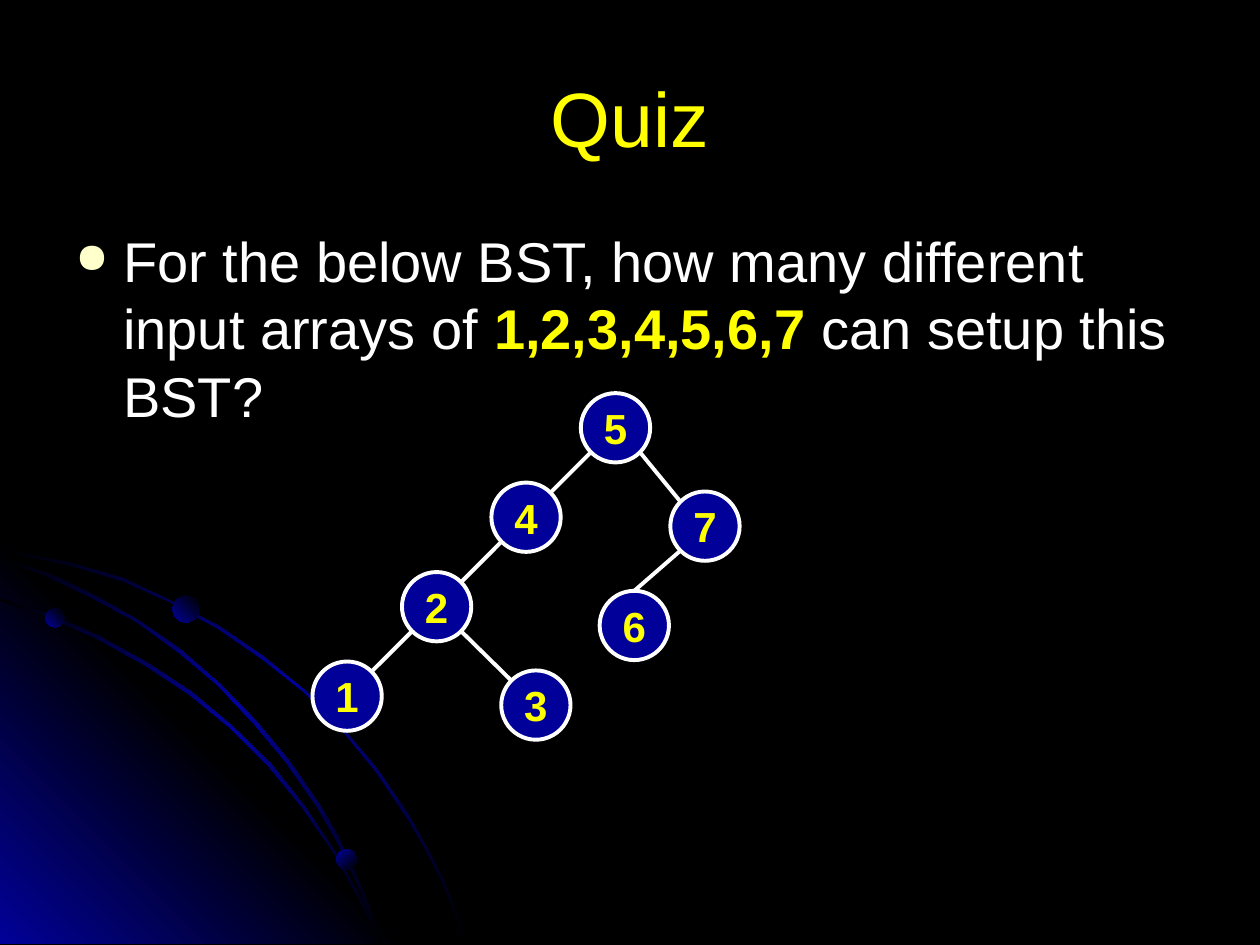
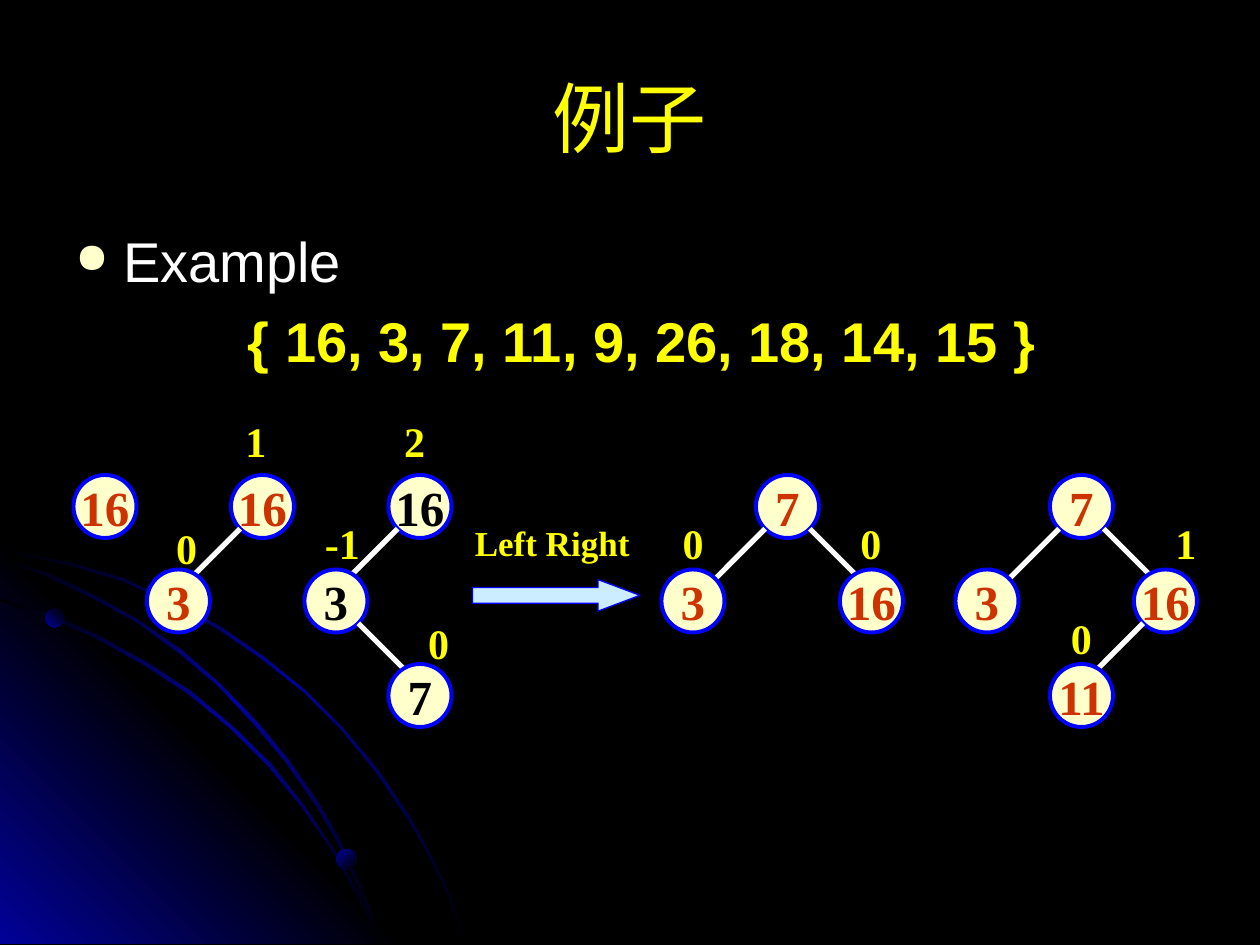
from math import sqrt

from lxml import etree
from pptx import Presentation
from pptx.dml.color import RGBColor
from pptx.enum.shapes import MSO_CONNECTOR, MSO_SHAPE as Preset
from pptx.enum.text import MSO_ANCHOR as Anchor, PP_ALIGN as Align
from pptx.oxml.ns import qn
from pptx.util import Inches, Pt

BLACK, WHITE, YELLOW = "000000", "FFFFFF", "FFFF00"
NAVY, BLUE, CREAM, SKY = "010199", "0000FF", "FFFFCC", "CCECFF"
RED, INK = "CC3300", "010000"
SANS, SERIF = "Arial", "Times New Roman"
LEFT, RIGHT = -1, 1
DIAGONAL = sqrt(0.5)

# Backdrop outlines, in hundredths of an inch.
CORNER = [(322, 749), (0, 749), (0, 427)]
OUTER_ARC = [
    (57, 447), (28, 441), (0, 435), (0, 438), (28, 443), (56, 449), (97, 461),
    (135, 478), (173, 499), (208, 523), (241, 549), (271, 579), (298, 612),
    (323, 649), (337, 673), (350, 698), (360, 723), (370, 749), (372, 749),
    (362, 723), (352, 698), (339, 673), (325, 648), (300, 611), (272, 578),
    (242, 548), (209, 521), (174, 497), (136, 477), (98, 459)]
INNER_ARC = [
    (285, 714), (294, 732), (301, 749), (303, 749), (296, 730), (286, 712),
    (266, 676), (242, 640), (215, 606), (184, 576), (152, 549), (117, 526),
    (79, 505), (41, 488), (0, 475), (0, 477), (39, 490), (77, 507), (115, 528),
    (150, 551), (183, 578), (213, 608), (240, 641), (265, 677)]
MIDDLE_ARC = [
    (0, 442), (0, 444), (36, 457), (74, 475), (109, 494), (142, 518), (173, 544),
    (202, 575), (227, 605), (252, 641), (267, 667), (280, 694), (292, 722),
    (301, 749), (303, 749), (294, 720), (282, 693), (269, 665), (254, 639),
    (229, 603), (204, 573), (175, 543), (144, 516), (111, 493), (76, 473), (39, 455)]
FADE_ENDS = (BLACK, NAVY, BLACK)
OUTLINES = [(OUTER_ARC, FADE_ENDS, 45), (CORNER, (NAVY, BLACK, NAVY), 315),
            (INNER_ARC, FADE_ENDS, 45), (MIDDLE_ARC, FADE_ENDS, 45)]
# left, top, diameter, gradient angle
BALLS = [(0.36, 4.83, 0.15, 315), (2.67, 6.74, 0.16, 45), (1.37, 4.73, 0.21, 315)]

# Quiz tree: label -> (column, row); then (parent, child, side of the child).
QUIZ_STEP = 0.71
QUIZ_NODES = {"2": (1, 2), "5": (3, 0), "4": (2, 1), "7": (4, 1.1),
              "6": (3.21, 2.21), "1": (0, 3), "3": (2.11, 3.1)}
QUIZ_EDGES = [("5", "4", LEFT), ("2", "1", LEFT), ("2", "3", RIGHT),
              ("4", "2", LEFT), ("5", "7", RIGHT)]

# Example trees: text colour, then (label, column, row, index of the parent).
COLUMN, ROW, ROW_TOP, REACH = 1 / 12, 0.75, 3.77, 0.42
EXAMPLE_TREES = [
    (RED, [("16", 7, 0, None)]),
    (RED, [("16", 22, 0, None), ("3", 14, 1, 0)]),
    (INK, [("16", 37, 0, None), ("3", 29, 1, 0), ("7", 37, 2, 1)]),
    (RED, [("7", 72, 0, None), ("3", 63, 1, 0), ("16", 80, 1, 0)]),
    (RED, [("7", 100, 0, None), ("3", 91, 1, 0), ("16", 108, 1, 0), ("11", 100, 2, 2)]),
]
BALANCES = [("1", 1.85, 3.25), ("0", 1.3, 4.1), ("2", 3.11, 3.25), ("-1", 2.48, 4.06),
            ("0", 3.3, 4.85), ("0", 5.32, 4.06), ("0", 6.73, 4.06),
            ("1", 9.23, 4.06), ("0", 8.4, 4.81)]


def color(value):
    return RGBColor.from_string(value)


def add_span(para, text, size, hue, font=SANS, bold=False):
    span = para.add_run()
    span.text = text
    span.font.size, span.font.name, span.font.bold = Pt(size), font, bold
    span.font.color.rgb = color(hue)


def fill_gradient(shape, hues, angle):
    """Spread the hues evenly along a clockwise angle."""
    shape.shadow.inherit = False
    shape.line.fill.background()
    shape.fill.gradient()
    shape.fill.gradient_angle = 360 - angle
    stops = next(shape._element.spPr.iter(qn("a:gsLst")))
    for stop in list(stops):
        stops.remove(stop)
    for index, hue in enumerate(hues):
        position = str(100000 * index // (len(hues) - 1))
        stop = etree.SubElement(stops, qn("a:gs"), pos=position)
        etree.SubElement(stop, qn("a:srgbClr"), val=hue)


def add_backdrop(page):
    for points, hues, angle in OUTLINES:
        builder = page.shapes.build_freeform(*points[0], scale=Inches(0.01))
        builder.add_line_segments(points[1:], close=True)
        fill_gradient(builder.convert_to_shape(), hues, angle)
    for left, top, size, angle in BALLS:
        ball = page.shapes.add_shape(Preset.OVAL, Inches(left), Inches(top),
                                     Inches(size), Inches(size))
        fill_gradient(ball, (NAVY, BLACK), angle)


def add_box(page, left, top, width, height, wrap=True):
    box = page.shapes.add_textbox(Inches(left), Inches(top), Inches(width), Inches(height))
    box.text_frame.word_wrap = wrap
    return box.text_frame


def add_page(deck, title):
    page = deck.slides.add_slide(deck.slide_layouts[6])
    add_backdrop(page)
    frame = add_box(page, 0.5, 0.3, 9, 1.25)
    frame.vertical_anchor = Anchor.MIDDLE
    frame.paragraphs[0].alignment = Align.CENTER
    add_span(frame.paragraphs[0], title, 44, YELLOW)
    return page


def style_body(para, margin, bulleted=False):
    para.space_before = Pt(7.4)
    props = para._p.get_or_add_pPr()
    props.set("marL", str(Inches(margin)))
    if bulleted:
        props.set("indent", str(-Inches(margin)))
        tint = etree.SubElement(props, qn("a:buClr"))
        etree.SubElement(tint, qn("a:srgbClr"), val=CREAM)
        etree.SubElement(props, qn("a:buSzPct"), val="75000")
        etree.SubElement(props, qn("a:buChar"), char="●")


def paint(shape, fill, outline, width):
    shape.shadow.inherit = False
    shape.fill.solid()
    shape.fill.fore_color.rgb = color(fill)
    shape.line.color.rgb = color(outline)
    shape.line.width = Pt(width)


def add_node(page, label, left, top, diameter, fill, outline, **lettering):
    node = page.shapes.add_shape(Preset.OVAL, Inches(left), Inches(top),
                                 Inches(diameter), Inches(diameter))
    paint(node, fill, outline, 2.25)
    frame = node.text_frame
    frame.word_wrap = False
    frame.vertical_anchor = Anchor.MIDDLE
    frame.paragraphs[0].alignment = Align.CENTER
    add_span(frame.paragraphs[0], label, bold=True, **lettering)
    return node


def rim(node, across, down):
    """Point on the circle's diagonal; across and down are -1 or 1."""
    radius = node.width / 2
    return (int(node.left + radius * (1 + across * DIAGONAL)),
            int(node.top + radius * (1 + down * DIAGONAL)))


def add_edge(page, start, end, width):
    edge = page.shapes.add_connector(MSO_CONNECTOR.STRAIGHT, *start, *end)
    edge.line.color.rgb = color(WHITE)
    edge.line.width = Pt(width)
    etree.SubElement(edge._element.spPr, qn("a:effectLst"))
    return edge


def add_quiz_tree(page):
    nodes = {
        label: add_node(page, label, 2.48 + column * QUIZ_STEP, 3.12 + row * QUIZ_STEP,
                        0.55, NAVY, WHITE, size=24, hue=YELLOW, font=SANS)
        for label, (column, row) in QUIZ_NODES.items()}
    for parent, child, side in QUIZ_EDGES:
        add_edge(page, rim(nodes[parent], side, 1), rim(nodes[child], -side, -1), 2.25)
    start = rim(nodes["7"], LEFT, 1)
    add_edge(page, start, start, 2.25).end_connect(nodes["6"], 0)


def add_example_tree(page, hue, entries):
    """Draw each edge before its child, so that the child covers the edge's end."""
    nodes = []
    for label, column, row, parent in entries:
        if parent is not None:
            side = RIGHT if column > entries[parent][1] else LEFT
            x, y = rim(nodes[parent], side, 1)
            add_edge(page, (x, y), (x + side * Inches(REACH), y + Inches(REACH)), 3)
        nodes.append(add_node(page, label, column * COLUMN, ROW_TOP + row * ROW, 0.5,
                              CREAM, BLUE, size=28, hue=hue, font=SERIF))


def add_label(page, text, left, top, width, height, size):
    frame = add_box(page, left, top, width, height, wrap=False)
    add_span(frame.paragraphs[0], text, size, YELLOW, SERIF, True)


def build_quiz(deck):
    page = add_page(deck, "Quiz")
    para = add_box(page, 0.5, 1.75, 9.15, 4.95).paragraphs[0]
    style_body(para, 0.38, bulleted=True)
    add_span(para, "For the below BST, how many different input arrays of ", 32, WHITE)
    add_span(para, "1,2,3,4,5,6,7", 32, YELLOW, bold=True)
    add_span(para, " can setup this BST?", 32, WHITE)
    add_quiz_tree(page)


def build_example(deck):
    page = add_page(deck, "例子")
    frame = add_box(page, 0.5, 1.75, 9, 4.95)
    heading, numbers = frame.paragraphs[0], frame.add_paragraph()
    style_body(heading, 0.38, bulleted=True)
    add_span(heading, "Example", 32, WHITE)
    style_body(numbers, 1.37)
    add_span(numbers, "{ 16, 3, 7, 11, 9, 26, 18, 14, 15 }", 32, YELLOW, bold=True)
    for hue, entries in EXAMPLE_TREES:
        add_example_tree(page, hue, entries)
    for text, left, top in BALANCES:
        add_label(page, text, left, top, 0.48 if len(text) > 1 else 0.37, 0.5, 24)
    arrow = page.shapes.add_shape(Preset.RIGHT_ARROW, Inches(3.75), Inches(4.6),
                                  Inches(1.33), Inches(0.25))
    arrow.adjustments[1] = 1.33
    paint(arrow, SKY, BLUE, 0.75)
    add_label(page, "Left Right", 3.67, 4.09, 1.43, 0.43, 20)


def main():
    deck = Presentation()
    deck.slide_width, deck.slide_height = Inches(10), Inches(7.5)
    background = deck.slide_master.background.fill
    background.solid()
    background.fore_color.rgb = color(BLACK)
    build_quiz(deck)
    build_example(deck)
    deck.save("out.pptx")


if __name__ == "__main__":
    main()
